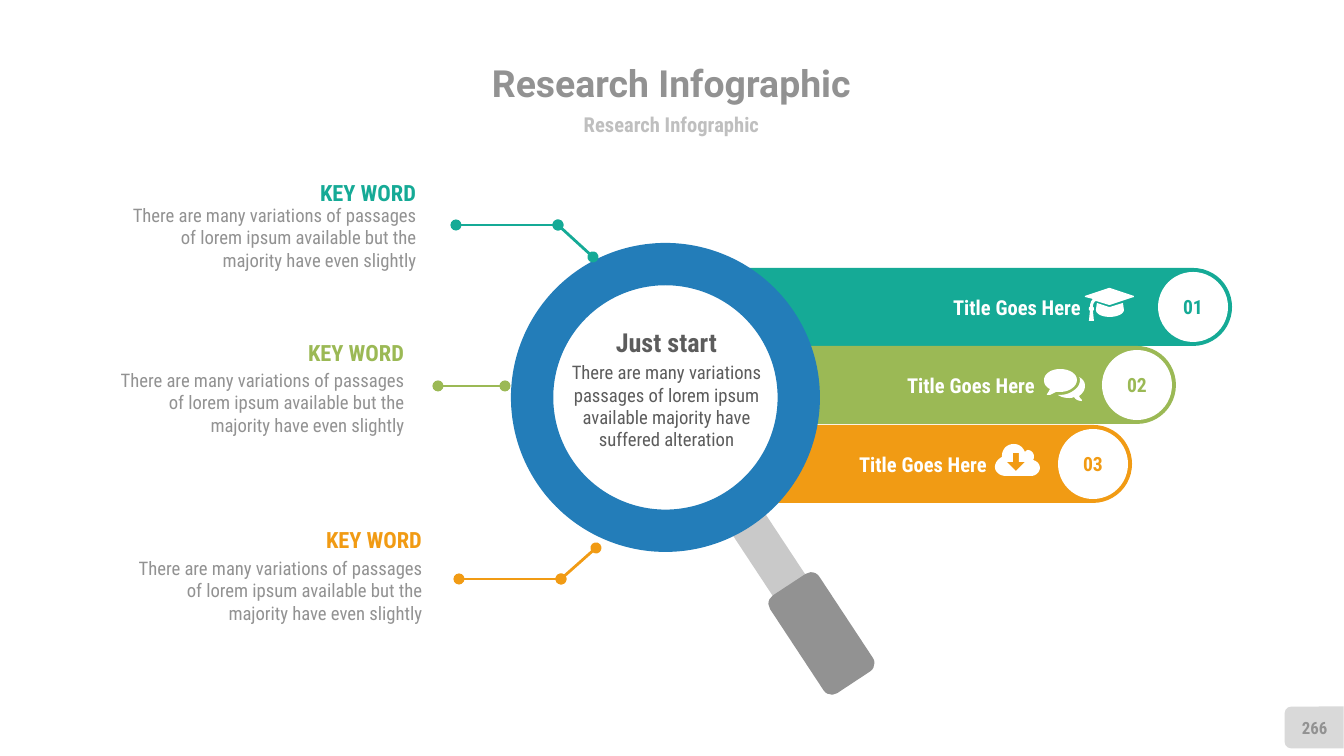
from pptx import Presentation
from pptx.dml.color import RGBColor as Rgb
from pptx.enum.shapes import MSO_CONNECTOR as Link, MSO_SHAPE as Kind
from pptx.enum.text import MSO_ANCHOR as Anchor, PP_ALIGN as Align
from pptx.oxml.ns import qn
from pptx.util import Pt
from lxml.etree import SubElement as Sub

PX = 914400 / 134.4
HUES = {
    "teal": "15AA96", "green": "9BB955", "amber": "F19B14", "blue": "237DB9",
    "white": "FFFFFF", "pale": "D9D9D9", "silver": "C9C9C9", "light": "BFBFBF",
    "gray": "929292", "dark": "5C5C5C",
}
COPY = ("There are many variations of passages of lorem ipsum "
        "available but the majority have even slightly")
LENS = ("There are many variations passages of lorem ipsum "
        "available majority have suffered alteration")

CAP = [
    [(49, 9), (25, 17), (24, 17), (11, 13), (9, 14, 8, 16, 8, 19),
     (9, 19, 9, 20, 9, 21), (9, 22, 9, 22, 8, 23), (9, 33), (4, 33), (5, 23),
     (4, 22, 4, 22, 4, 21), (4, 20, 4, 19, 5, 19), (5, 16, 6, 13, 8, 11),
     (0, 9), (0, 8), (24, 0), (25, 0), (49, 8)],
    [(39, 22), (39, 26, 32, 29, 25, 29), (17, 29, 11, 26, 11, 22),
     (12, 15), (24, 19), (25, 19), (38, 15)],
]
CHAT = [
    [(16, 23), (14, 23, 13, 23, 12, 23), (10, 24, 8, 25, 6, 26),
     (5, 26, 4, 26, 3, 26), (3, 25), (4, 24, 5, 22, 6, 20),
     (2, 18, 0, 15, 0, 11), (0, 5, 7, 0, 16, 0), (26, 0, 33, 5, 33, 11),
     (33, 17, 26, 23, 16, 23)],
    [(35, 27), (36, 29, 37, 30, 38, 31), (38, 32), (35, 32, 32, 31, 30, 28),
     (28, 29, 27, 29, 25, 29), (21, 29, 17, 28, 14, 26),
     (20, 26, 25, 25, 29, 22), (34, 19, 36, 15, 36, 11),
     (36, 10, 36, 9, 35, 8), (39, 10, 41, 13, 41, 17),
     (41, 21, 39, 24, 35, 27)],
]
CLOUD = [
    [(36, 32), (11, 32), (5, 32, 0, 28, 0, 23), (0, 19, 3, 15, 7, 13), (7, 12),
     (7, 5, 12, 0, 19, 0), (24, 0, 28, 3, 30, 8), (31, 7, 32, 6, 33, 6),
     (36, 6, 39, 9, 39, 12), (39, 14, 39, 15, 38, 16),
     (42, 17, 45, 20, 45, 24), (45, 28, 41, 32, 36, 32)],
    [(30, 18), (24, 18), (24, 9), (18, 9), (18, 18), (12, 18), (21, 27)],
]


def px(*nums):
    return [round(n * PX) for n in nums]


def tint(hue):
    return Rgb.from_string(HUES[hue])


def paint(shape, hue):
    shape.shadow.inherit = False
    shape.fill.solid()
    shape.fill.fore_color.rgb = tint(hue)
    shape.line.fill.background()


def block(slide, kind, box, hue, turn=0, adj=None):
    shape = slide.shapes.add_shape(kind, *px(*box))
    paint(shape, hue)
    shape.rotation = turn
    if adj is not None:
        shape.adjustments[0] = adj
    return shape


def write(shape, text, size=10, hue="gray", bold=False, align=Align.CENTER,
          anchor=Anchor.MIDDLE, face="Roboto Condensed"):
    frame = shape.text_frame
    frame.word_wrap = True
    frame.vertical_anchor = anchor
    frame.margin_left = frame.margin_right = 0
    frame.margin_top = frame.margin_bottom = 0
    para = frame.paragraphs[0]
    para.alignment = align
    run = para.add_run()
    run.text = text
    font = run.font
    font.name, font.size, font.bold = face, Pt(size), bold
    font.color.rgb = tint(hue)


def label(slide, box, text, **form):
    write(slide.shapes.add_textbox(*px(*box)), text, **form)


def trace(parts):
    spots = [parts[0]]
    for part in parts[1:]:
        if len(part) == 2:
            spots.append(part)
            continue
        nodes = [spots[-1], part[:2], part[2:4], part[4:]]
        for step in range(1, 9):
            t = step / 8
            mix = ((1 - t) ** 3, 3 * t * (1 - t) ** 2, 3 * t * t * (1 - t), t ** 3)
            spots.append(tuple(sum(m * n[i] for m, n in zip(mix, nodes))
                               for i in (0, 1)))
    return spots


def icon(slide, left, top, loops):
    pen = None
    for loop in loops:
        spots = [px(left + x, top + y) for x, y in trace(loop)]
        if pen is None:
            pen = slide.shapes.build_freeform(*spots[0], scale=1.0)
        else:
            pen.move_to(*spots[0])
        pen.add_line_segments(spots[1:], close=True)
    paint(pen.convert_to_shape(), "white")


def leader(slide, start, end, hue):
    line = slide.shapes.add_connector(Link.STRAIGHT, *px(*start, *end))
    line.line.color.rgb = tint(hue)
    line.line.width = Pt(1.5)
    stroke = line.line._get_or_add_ln()
    for tip in ("a:headEnd", "a:tailEnd"):
        Sub(stroke, qn(tip), type="oval")
    Sub(line._element.spPr, qn("a:effectLst"))


def heading(slide, left, top, width):
    label(slide, (left, top, width, 52), "Research Infographic",
          size=20, bold=True, face="Roboto")
    label(slide, (left, top + 53, width, 29), "Research Infographic",
          size=11, hue="light", bold=True)


def banner(slide, left, top, width, hue, num, edge, mark, loops):
    block(slide, Kind.ROUNDED_RECTANGLE, (left, top, width, 78), hue, adj=0.5)
    disc = block(slide, Kind.OVAL, (left + width - 74, top + 4, 70, 70), "white")
    write(disc, num, size=10.5, hue=hue, bold=True)
    label(slide, (left + edge - 194, top + 26, 194, 26), "Title Goes Here",
          size=11, hue="white", bold=True, align=Align.RIGHT)
    icon(slide, left + mark[0], top + mark[1], loops)


def glass(slide, left, top, size):
    block(slide, Kind.OVAL, (left + 10, top + 10, size - 20, size - 20), "white")
    block(slide, Kind.RECTANGLE, (left + 240, top + 241, 39, 146), "silver", 326.6)
    block(slide, Kind.ROUNDED_RECTANGLE, (left + 281, top + 332, 59, 117),
          "gray", 326.6)
    block(slide, Kind.DONUT, (left, top, size, size), "blue", adj=0.137)
    label(slide, (left + 52, top + 83, size - 102, 32), "Just start",
          size=14, hue="dark", bold=True, anchor=Anchor.TOP)
    label(slide, (left + 52, top + 118, size - 102, 113), LENS,
          hue="dark", anchor=Anchor.TOP)


def callout(slide, left, top, gap, hue, route):
    label(slide, (left, top, 286, 27), "KEY WORD",
          size=12, hue=hue, bold=True, align=Align.RIGHT)
    label(slide, (left, top + gap, 286, 67), COPY, align=Align.RIGHT)
    spots = [(left + x, top + y) for x, y in route]
    for start, end in zip(spots, spots[1:]):
        leader(slide, start, end, hue)


def folio(slide, left, top):
    block(slide, Kind.ROUND_2_SAME_RECTANGLE, (left + 8, top - 9, 42, 59),
          "pale", 270)
    label(slide, (left, top, 59, 41), "266", size=9, bold=True)


def main():
    deck = Presentation()
    deck.slide_width, deck.slide_height = px(1344, 756)
    slide = deck.slides.add_slide(deck.slide_layouts[6])
    folio(slide, 1285, 707)
    heading(slide, 257, 57, 829)
    bars = [
        (526, "teal", "01", 375, (379, 20), CAP),
        (470, "green", "02", 329, (338, 23), CHAT),
        (426, "amber", "03", 281, (289, 19), CLOUD),
    ]
    for row, (width, *rest) in enumerate(bars):
        banner(slide, 706, 268 + round(row * 78.5), width, *rest)
    glass(slide, 511, 243, 309)
    notes = [
        (130, 179, 25, "teal", [(326, 46), (428, 46), (463, 78)]),
        (118, 339, 30, "green", [(320, 47), (387, 47)]),
        (136, 526, 31, "amber", [(323, 53), (425, 53), (460, 22)]),
    ]
    for note in notes:
        callout(slide, *note)
    deck.save("out.pptx")


if __name__ == "__main__":
    main()
